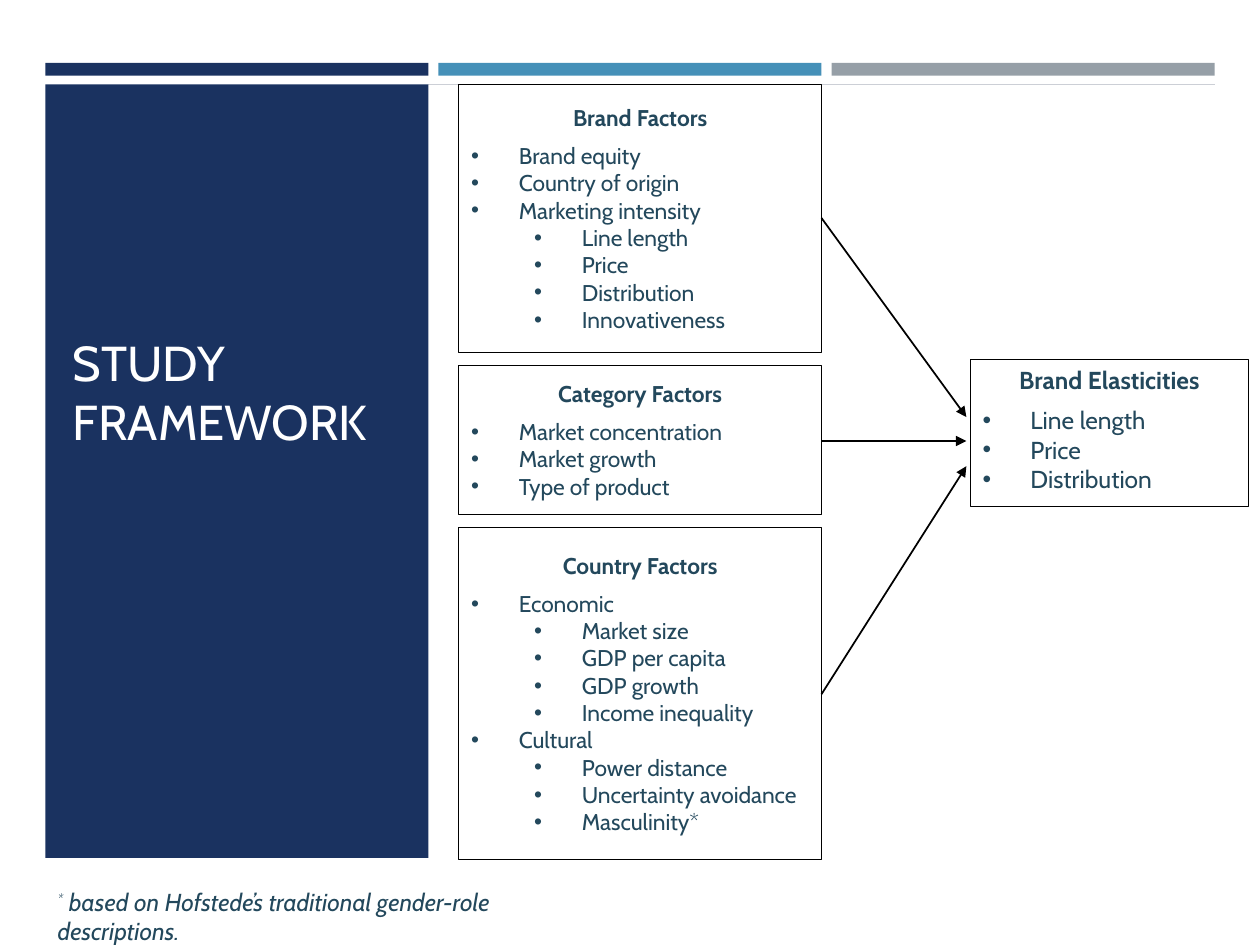
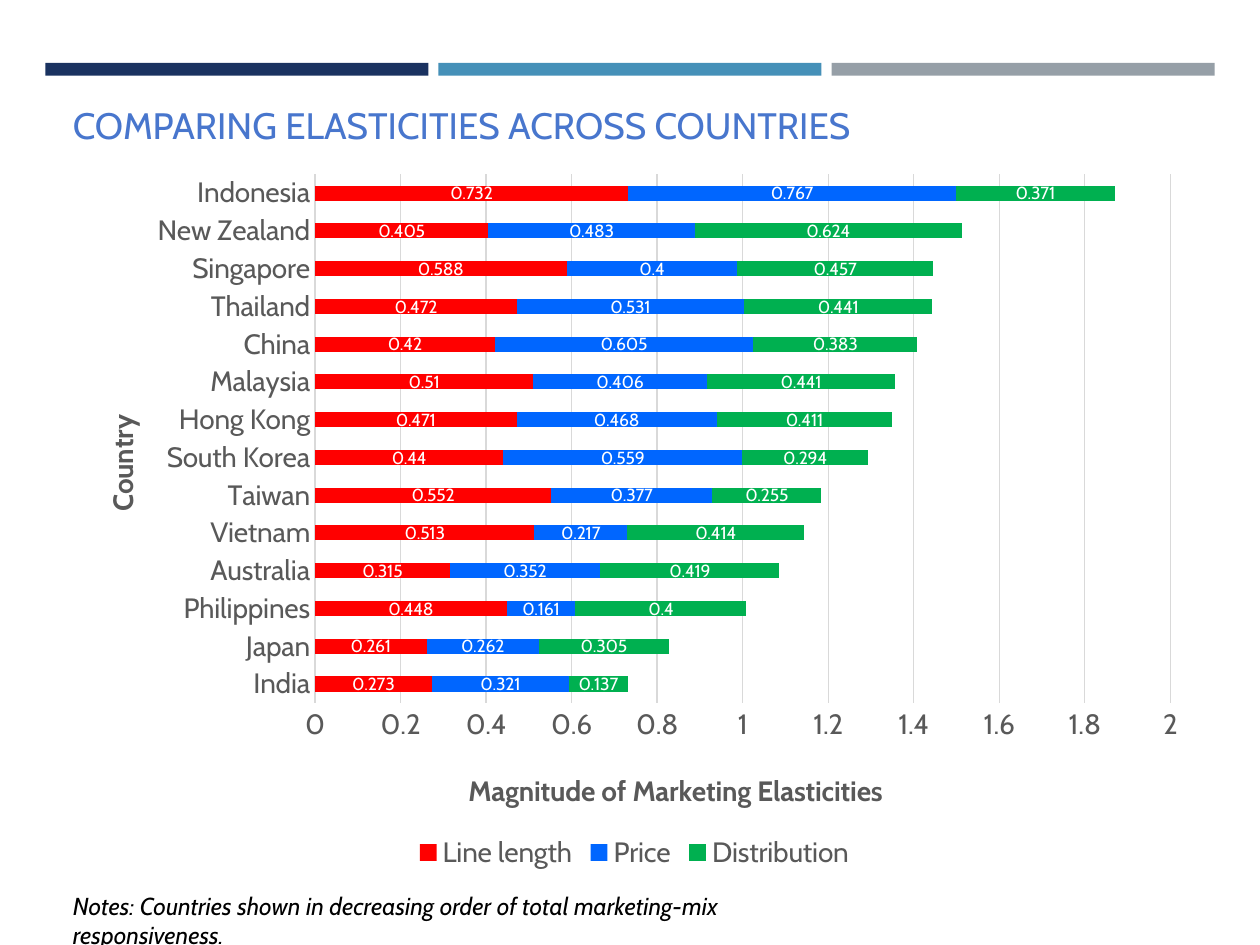
from pptx import Presentation
from pptx.chart.data import CategoryChartData as Data
from pptx.dml.color import RGBColor as Rgb
from pptx.enum.chart import XL_CHART_TYPE as Kind, XL_LEGEND_POSITION as Spot, XL_TICK_MARK as Tick
from pptx.enum.shapes import MSO_CONNECTOR as Conn, MSO_SHAPE as Form
from pptx.enum.text import MSO_ANCHOR as Anchor, PP_ALIGN as Align
from pptx.oxml import parse_xml
from pptx.oxml.ns import nsdecls, qn
from pptx.util import Inches, Pt
from lxml.etree import SubElement as Sub

FACE = "Cabin"
HUE = {
    "navy": "1A3260", "blue": "4590B8", "gray": "969FA7", "white": "FFFFFF",
    "black": "000000", "ink": "23485C", "title": "4876CD", "text": "595959",
    "grid": "D9D9D9", "rule": "CCCFD6",
    "Line length": "FF0000", "Price": "0066FF", "Distribution": "00B050",
}
FONT = {
    "side": dict(size=28, color="white"),
    "head": dict(size=21, color="title"),
    "note": dict(size=14, color="ink", italic=True),
    "foot": dict(size=14, color="black", italic=True),
    "axis": dict(size=16, color="text", bold=False),
    "name": dict(size=16, color="text", bold=True),
    "value": dict(size=10, color="white"),
}
FACTORS = [
    ((3.64, 0.67, 2.88, 2.13), "Brand Factors", [
        (0, "Brand equity"), (0, "Country of origin"), (0, "Marketing intensity"),
        (1, "Line length"), (1, "Price"), (1, "Distribution"), (1, "Innovativeness")]),
    ((3.64, 2.9, 2.88, 1.18), "Category Factors", [
        (0, "Market concentration"), (0, "Market growth"), (0, "Type of product")]),
    ((3.64, 4.19, 2.88, 2.63), "Country Factors", [
        (0, "Economic"), (1, "Market size"), (1, "GDP per capita"), (1, "GDP growth"),
        (1, "Income inequality"), (0, "Cultural"), (1, "Power distance"),
        (1, "Uncertainty avoidance"), (1, "Masculinity*")]),
]
RESULT = ((7.7, 2.85, 2.21, 1.17), "Brand Elasticities", [
    (0, "Line length"), (0, "Price"), (0, "Distribution")])
SERIES = ["Line length", "Price", "Distribution"]
ROWS = [
    ("India", 0.273, 0.321, 0.137),
    ("Japan", 0.261, 0.262, 0.305),
    ("Philippines", 0.448, 0.161, 0.4),
    ("Australia", 0.315, 0.352, 0.419),
    ("Vietnam", 0.513, 0.217, 0.414),
    ("Taiwan", 0.552, 0.377, 0.255),
    ("South Korea", 0.44, 0.559, 0.294),
    ("Hong Kong", 0.471, 0.468, 0.411),
    ("Malaysia", 0.51, 0.406, 0.441),
    ("China", 0.42, 0.605, 0.383),
    ("Thailand", 0.472, 0.531, 0.441),
    ("Singapore", 0.588, 0.4, 0.457),
    ("New Zealand", 0.405, 0.483, 0.624),
    ("Indonesia", 0.732, 0.767, 0.371),
]


def put(item, **vals):
    for key, val in vals.items():
        setattr(item, key, val)


def rgb(name):
    return Rgb.from_string(HUE[name])


def style(font, size, color, **more):
    put(font, name=FACE, size=Pt(size), **more)
    font.color.rgb = rgb(color)


def rect(slide, box, fill, edge=None):
    shape = slide.shapes.add_shape(Form.RECTANGLE, *map(Inches, box))
    shape.shadow.inherit = False
    shape.fill.solid()
    shape.fill.fore_color.rgb = rgb(fill)
    if edge:
        shape.line.color.rgb = rgb(edge)
        shape.line.width = Pt(0.5)
    else:
        shape.line.fill.background()
    return shape


def label(slide, box, text, look, anchor=Anchor.TOP):
    frame = slide.shapes.add_textbox(*map(Inches, box)).text_frame
    put(frame, word_wrap=True, vertical_anchor=anchor)
    para = frame.paragraphs[0]
    if text.startswith("*"):
        star = para.add_run()
        star.text, text = "*", text[1:]
        style(star.font, **FONT[look])
        star.font._element.set("baseline", "30000")
    run = para.add_run()
    run.text = text
    style(run.font, **FONT[look])


def line(slide, start, end, color, width, arrow=False):
    link = slide.shapes.add_connector(Conn.STRAIGHT, *map(Inches, start + end))
    link.line.color.rgb = rgb(color)
    link.line.width = Pt(width)
    if arrow:
        Sub(link.line._get_or_add_ln(), qn("a:tailEnd"), type="triangle")
    Sub(link._element.spPr, qn("a:effectLst"))


def panel(slide, box, head, items, size, anchor):
    frame = rect(slide, box, "white", "black").text_frame
    put(frame, word_wrap=True, vertical_anchor=anchor)
    top = frame.paragraphs[0]
    put(top, text=head, alignment=Align.CENTER, space_after=Pt(6))
    style(top.runs[0].font, size, "ink", bold=True)
    for level, text in items:
        para = frame.add_paragraph()
        put(para, text=text, level=level, alignment=Align.LEFT)
        style(para.runs[0].font, size, "ink", bold=False)
        props = para._p.get_or_add_pPr()
        props.set("marL", str(Inches(0.38 + 0.5 * level)))
        props.set("indent", str(Inches(-0.38)))
        Sub(props, qn("a:buFont"), typeface="Arial")
        Sub(props, qn("a:buChar"), char="•")


def bands(slide):
    for i, color in enumerate(["navy", "blue", "gray"]):
        rect(slide, (0.36 + 3.12 * i, 0.5, 3.04, 0.1), color)


def side(slide, box, text):
    left, top, width, height = box
    rect(slide, box, "navy")
    label(slide, (left + 0.12, top + 1.84, width - 0.24, 1.11), text, "side", Anchor.BOTTOM)


def study(slide):
    bands(slide)
    line(slide, (3.4, 0.67), (9.64, 0.67), "rule", 0.5)
    side(slide, (0.36, 0.67, 3.04, 6.14), "STUDY FRAMEWORK")
    for box, head, items in FACTORS:
        panel(slide, box, head, items, 13, Anchor.MIDDLE)
    panel(slide, *RESULT, 14, Anchor.TOP)
    for start, end in [(1.73, 3.31), (3.5, 3.5), (5.51, 3.7)]:
        line(slide, (6.52, start), (7.67, end), "black", 1, True)
    label(slide, (0.36, 6.99, 4.43, 0.34),
          "* based on Hofstede’s traditional gender-role descriptions.", "note")


def place(part, index, inner="", **spots):
    old = part.find(qn("c:layout"))
    if old is not None:
        part.remove(old)
    modes = "".join(f'<c:{k}Mode val="edge"/>' for k in spots if k in "xy")
    vals = "".join(f'<c:{k} val="{v}"/>' for k, v in spots.items())
    part.insert(index, parse_xml(
        f'<c:layout {nsdecls("c")}><c:manualLayout>{inner}{modes}{vals}'
        "</c:manualLayout></c:layout>"))


def axis(part, name, x, y):
    put(part, major_tick_mark=Tick.NONE, minor_tick_mark=Tick.NONE)
    style(part.tick_labels.font, **FONT["axis"])
    title = part.axis_title
    title.text_frame.text = name
    style(title.text_frame.paragraphs[0].runs[0].font, **FONT["name"])
    place(title._element, 1, x=x, y=y)
    return title


def graph(slide, box):
    data = Data()
    data.categories = [row[0] for row in ROWS]
    for i, name in enumerate(SERIES, 1):
        data.add_series(name, [row[i] for row in ROWS])
    chart = slide.shapes.add_chart(Kind.BAR_STACKED, *map(Inches, box), data).chart
    put(chart, has_title=False, has_legend=True)
    style(chart.font, **FONT["axis"])
    put(chart.legend, position=Spot.BOTTOM, include_in_layout=False)
    style(chart.legend.font, **FONT["axis"])
    plot = chart.plots[0]
    put(plot, gap_width=150, overlap=100, vary_by_categories=False)
    for series in plot.series:
        series.format.fill.solid()
        series.format.fill.fore_color.rgb = rgb(series.name)
        series.data_labels.show_value = True
        style(series.data_labels.font, **FONT["value"])
    cat, val = chart.category_axis, chart.value_axis
    title = axis(cat, "Country", 0.03, 0.35)
    title.text_frame._txBody.bodyPr.set("rot", "-5400000")
    axis(val, "Magnitude of Marketing Elasticities", 0.35, 0.85)
    put(val, minimum_scale=0, maximum_scale=2, major_unit=0.2, has_major_gridlines=True)
    val.format.line.fill.background()
    for edge in (cat.format.line, val.major_gridlines.format.line):
        edge.color.rgb = rgb("grid")
        edge.width = Pt(0.75)
    place(chart._chartSpace.chart.plotArea, 0, '<c:layoutTarget val="inner"/>',
          x=0.22, y=0.02, w=0.75, h=0.74)


def compare(slide):
    bands(slide)
    label(slide, (0.48, 0.77, 9.05, 0.45), "COMPARING ELASTICITIES ACROSS COUNTRIES", "head")
    graph(slide, (0.51, 1.27, 9.05, 5.67))
    label(slide, (0.48, 7.02, 6.18, 0.34),
          "Notes: Countries shown in decreasing order of total marketing-mix responsiveness.",
          "foot")


def main():
    deck = Presentation()
    put(deck, slide_width=Inches(10), slide_height=Inches(7.5))
    for build in (study, compare):
        build(deck.slides.add_slide(deck.slide_layouts[6]))
    deck.save("out.pptx")


if __name__ == "__main__":
    main()
